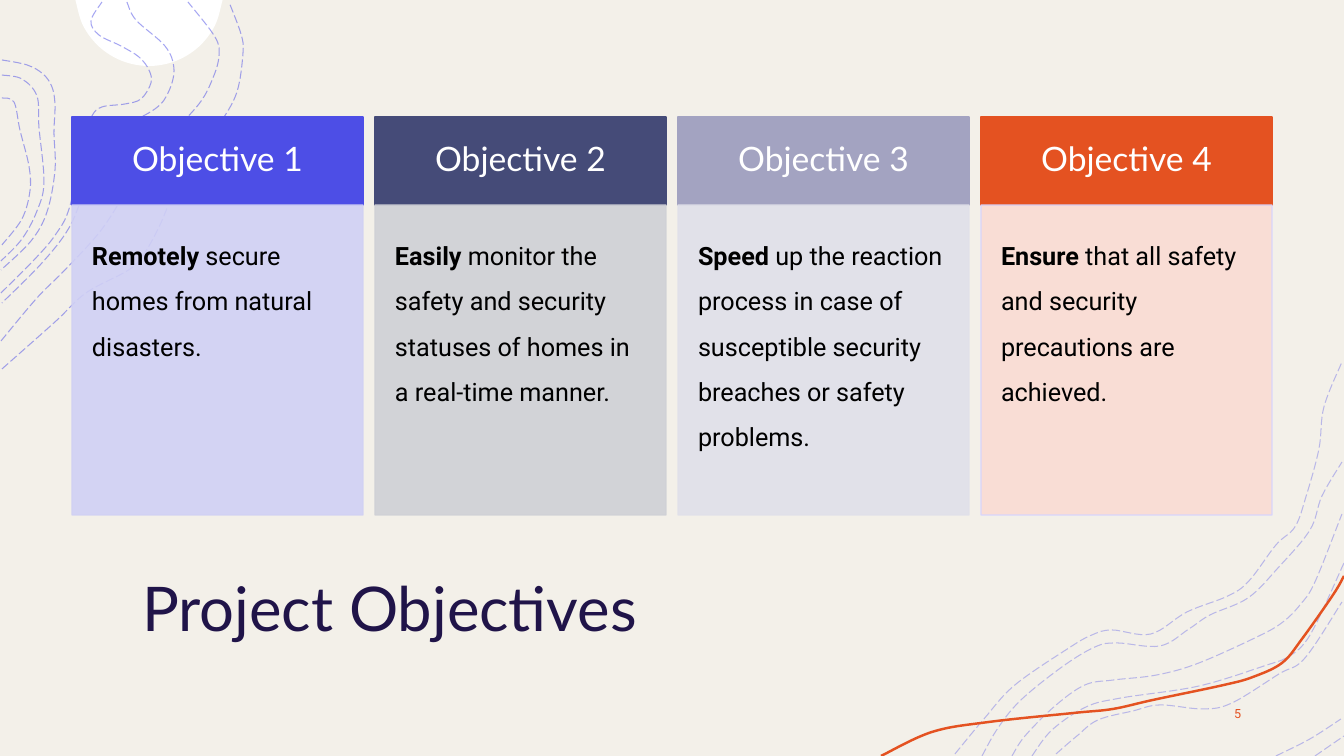
import math
from lxml import etree
from pptx import Presentation
from pptx.dml.color import RGBColor
from pptx.enum.dml import MSO_LINE
from pptx.enum.shapes import MSO_SHAPE
from pptx.enum.text import MSO_ANCHOR, MSO_AUTO_SIZE, PP_ALIGN
from pptx.oxml.ns import qn
from pptx.util import Pt

PX = 914400 / 100.8
RECTANGLE = MSO_SHAPE.RECTANGLE
LONG_DASH, SOLID = MSO_LINE.LONG_DASH, MSO_LINE.SOLID
TOP, MIDDLE = MSO_ANCHOR.TOP, MSO_ANCHOR.MIDDLE
LEFT, CENTER, RIGHT = PP_ALIGN.LEFT, PP_ALIGN.CENTER, PP_ALIGN.RIGHT
CREAM = RGBColor(0xF3, 0xF0, 0xE9)
WHITE = RGBColor(0xFF, 0xFF, 0xFF)
BLACK = RGBColor(0x00, 0x00, 0x00)
NAVY = RGBColor(0x20, 0x14, 0x49)
BLUE = RGBColor(0x4D, 0x4E, 0xE6)
SLATE = RGBColor(0x45, 0x4B, 0x78)
MAUVE = RGBColor(0xA3, 0xA3, 0xC1)
ORANGE = RGBColor(0xE4, 0x52, 0x21)
PALE_BLUE = RGBColor(0xD0, 0xD0, 0xF5)
PALE_SLATE = RGBColor(0xCF, 0xD0, 0xD6)
PALE_MAUVE = RGBColor(0xE0, 0xE0, 0xE9)
PALE_ORANGE = RGBColor(0xFA, 0xDC, 0xD3)
LILAC = RGBColor(0xD5, 0xD3, 0xFF)


def bend(shape, trail):
    padded = [trail[0], *trail, trail[-1]]
    segments = list(shape.element.iter(qn("a:lnTo")))
    for segment, a, b, c, d in zip(segments, padded, padded[1:], padded[2:], padded[3:]):
        segment.tag = qn("a:cubicBezTo")
        handles = [[q + (r - p) / 6 for p, q, r in zip(a, b, c)],
                   [r - (s - q) / 6 for q, r, s in zip(b, c, d)]]
        for position, (x, y) in enumerate(handles):
            handle = etree.Element(qn("a:pt"), x=str(round(x - shape.left)),
                                   y=str(round(y - shape.top)))
            segment.insert(position, handle)


def set_opacity(shape, percent):
    for color in shape.element.spPr.iter(qn("a:srgbClr")):
        etree.SubElement(color, qn("a:alpha")).set("val", str(percent * 1000))


prs = Presentation()
prs.slide_width = round(1344 * PX)
prs.slide_height = round(756 * PX)
slide = prs.slides.add_slide(prs.slide_layouts[5])
slide.background.fill.solid()
slide.background.fill.fore_color.rgb = CREAM

moon_rim = [(149 + 74 * math.cos(math.radians(a)),
             max(0, 74 * math.sin(math.radians(a)) - 8)) for a in range(6, 175, 21)]
left_contours = [
    [(2, 369), (55, 322), (86, 293), (127, 271), (142, 257), (160, 225), (182, 173),
     (203, 147), (221, 122), (237, 92), (243, 53), (241, 34), (229, 2)],
    [(1, 341), (37, 298), (64, 271), (99, 233), (122, 198), (137, 169), (167, 138),
     (199, 104), (213, 78), (219, 56), (215, 37), (188, 2)],
    [(127, 2), (136, 20), (165, 46), (174, 68), (169, 91), (155, 109), (116, 130),
     (104, 139), (96, 154), (84, 191), (69, 228), (42, 263), (2, 303)],
    [(1, 293), (35, 259), (56, 234), (70, 206), (84, 139), (92, 116), (102, 107),
     (125, 104), (141, 99), (151, 83), (149, 70), (139, 57), (121, 46), (99, 35),
     (91, 21), (102, 2)],
    [(2, 60), (27, 65), (43, 74), (52, 87), (55, 105), (54, 133), (55, 170),
     (47, 212), (31, 241), (1, 270)],
    [(2, 75), (22, 79), (37, 96), (39, 127), (44, 182), (37, 211), (22, 239), (1, 261)],
    [(2, 98), (14, 102), (20, 130), (29, 166), (30, 191), (22, 219), (2, 245)],
]
right_contours = [
    [(955, 754), (984, 719), (1015, 685), (1069, 648), (1092, 635), (1112, 630),
     (1151, 634), (1187, 612), (1228, 596), (1249, 581), (1276, 545), (1295, 527),
     (1306, 497), (1319, 449), (1324, 407), (1342, 362)],
    [(982, 756), (998, 728), (1021, 700), (1062, 667), (1095, 647), (1117, 643),
     (1160, 646), (1189, 629), (1210, 615), (1248, 598), (1278, 568), (1310, 530),
     (1322, 496), (1342, 462)],
    [(1315, 756), (1344, 736)],
    [(1276, 756), (1310, 739), (1341, 719)],
    [(1056, 754), (1077, 736), (1098, 720), (1133, 711), (1160, 705), (1203, 709),
     (1232, 703), (1279, 674), (1305, 658), (1342, 602)],
    [(1032, 756), (1052, 730), (1086, 707), (1121, 698), (1199, 686), (1267, 665),
     (1286, 658), (1303, 645), (1318, 620), (1344, 563)],
    [(1012, 756), (1025, 736), (1055, 706), (1085, 685), (1114, 680), (1157, 675),
     (1199, 663), (1259, 636), (1283, 622), (1300, 605), (1315, 582), (1342, 514)],
]
ribbon = [(881, 756), (932, 732), (989, 722), (1074, 713), (1113, 709), (1153, 700),
          (1224, 685), (1253, 677), (1282, 663), (1302, 639), (1333, 595), (1344, 576)]

strokes = [(moon_rim, WHITE, 0, SOLID, 100)]
strokes += [(stops, BLUE, 0.75, LONG_DASH, 50) for stops in left_contours]
strokes += [(stops, BLUE, 0.75, LONG_DASH, 35) for stops in right_contours]
strokes.append((ribbon, ORANGE, 1.75, SOLID, 100))
for stops, color, weight, dash, opacity in strokes:
    trail = [(x * PX, y * PX) for x, y in stops]
    builder = slide.shapes.build_freeform(*trail[0])
    builder.add_line_segments(trail[1:], close=weight == 0)
    contour = builder.convert_to_shape()
    bend(contour, trail)
    contour.shadow.inherit = False
    if weight == 0:
        contour.fill.solid()
        contour.fill.fore_color.rgb = color
        contour.line.fill.background()
    else:
        contour.fill.background()
        contour.line.color.rgb = color
        contour.line.width = Pt(weight)
        contour.line.dash_style = dash
    if opacity < 100:
        set_opacity(contour, opacity)

heading = slide.shapes.title
page_number = slide.shapes.add_textbox(0, 0, 0, 0)
labels = [
    (heading, (132, 524, 1101, 165), "Project Objectives", "Lato", 44, NAVY, LEFT, MIDDLE),
    (page_number, (1092, 701, 159, 40), "5", "Roboto", 9, ORANGE, RIGHT, TOP),
]
for label, box, wording, font_name, size, color, align, anchor in labels:
    label.left, label.top, label.width, label.height = [round(v * PX) for v in box]
    frame = label.text_frame
    frame.word_wrap = True
    frame.auto_size = MSO_AUTO_SIZE.NONE
    frame.vertical_anchor = anchor
    frame.paragraphs[0].alignment = align
    run = frame.paragraphs[0].add_run()
    run.text = wording
    run.font.name, run.font.size, run.font.color.rgb = font_name, Pt(size), color

objectives = [
    ("Remotely", " secure homes from natural disasters.", BLUE, PALE_BLUE, PALE_BLUE),
    ("Easily", " monitor the safety and security statuses of homes in a real-time manner.",
     SLATE, PALE_SLATE, PALE_SLATE),
    ("Speed", " up the reaction process in case of susceptible security breaches or "
     "safety problems.", MAUVE, PALE_MAUVE, PALE_MAUVE),
    ("Ensure", " that all safety and security precautions are achieved.",
     ORANGE, PALE_ORANGE, LILAC),
]
for index, (keyword, rest, strong, pale, border) in enumerate(objectives):
    header = [(f"Objective {index + 1}", False)]
    detail = [(keyword, True), (rest, False)]
    parts = [
        (117, 88, strong, strong, 100, 23, MIDDLE, CENTER, 0.9, "Lato", 24, WHITE, header),
        (205, 310, pale, border, 90, 20, TOP, LEFT, 1.5, "Roboto", 18, BLACK, detail),
    ]
    for (top, height, fill, edge, opacity, inset, anchor, align, spacing,
         font_name, size, ink, runs) in parts:
        panel = slide.shapes.add_shape(
            RECTANGLE, round((72 + 303 * index) * PX), round(top * PX),
            round(291 * PX), round(height * PX))
        panel.shadow.inherit = False
        panel.fill.solid()
        panel.fill.fore_color.rgb = fill
        panel.line.color.rgb = edge
        panel.line.width = Pt(1)
        if opacity < 100:
            set_opacity(panel, opacity)
        frame = panel.text_frame
        frame.word_wrap = True
        frame.vertical_anchor = anchor
        frame.margin_left = frame.margin_right = round(inset * PX)
        frame.margin_top = frame.margin_bottom = round(inset * PX)
        paragraph = frame.paragraphs[0]
        paragraph.alignment = align
        paragraph.line_spacing = spacing
        for wording, bold in runs:
            run = paragraph.add_run()
            run.text = wording
            run.font.name, run.font.size, run.font.bold = font_name, Pt(size), bold
            run.font.color.rgb = ink

prs.save("out.pptx")
